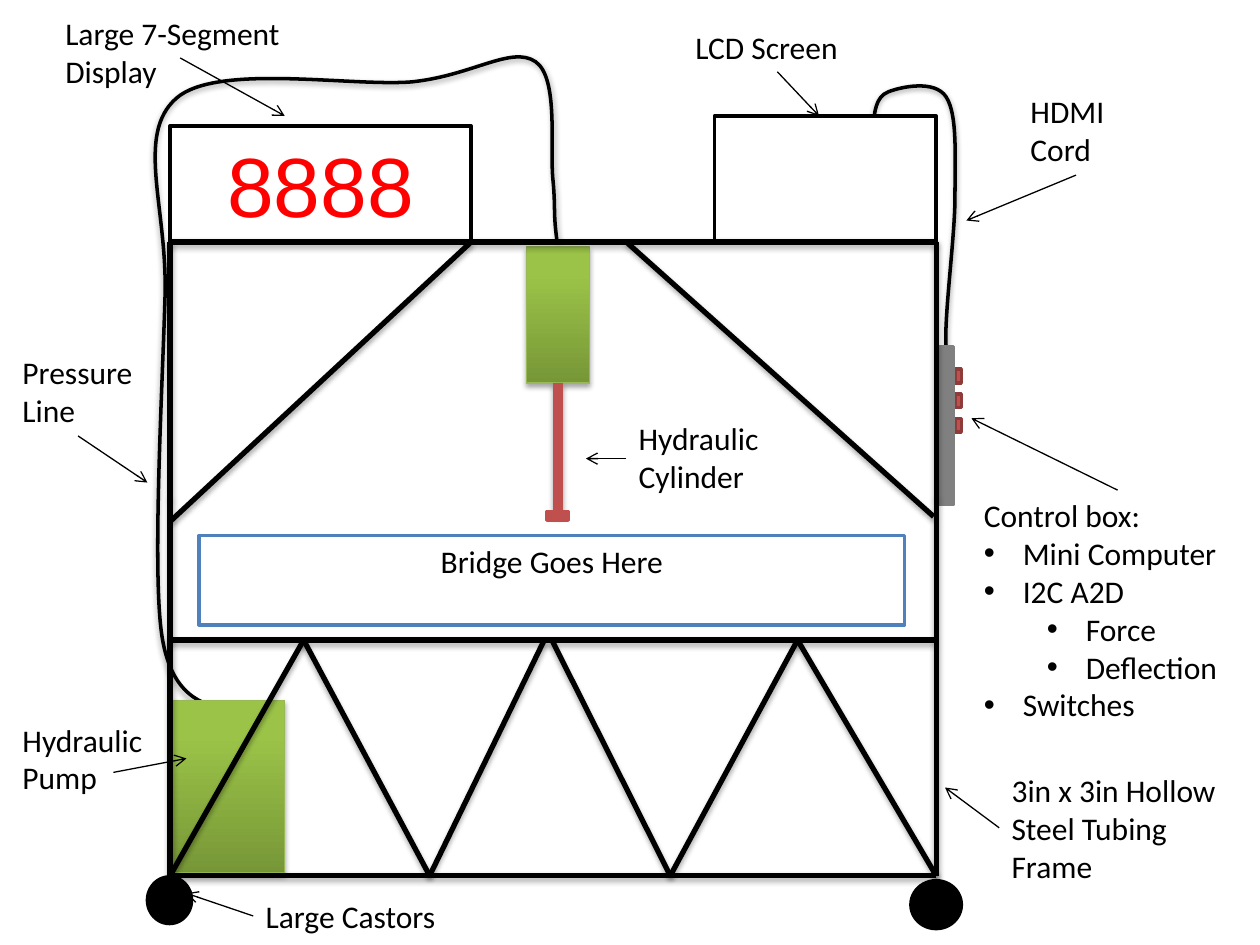
from lxml.etree import SubElement
from pptx import Presentation
from pptx.dml.color import RGBColor
from pptx.enum.shapes import MSO_CONNECTOR as Connector, MSO_SHAPE as Shape
from pptx.enum.text import MSO_ANCHOR as Anchor, PP_ALIGN as Align
from pptx.oxml.ns import qn
from pptx.util import Inches, Pt

# Grid: 10 columns by 7.5 rows, one inch each
COLUMNS, ROWS = 10, 7.5
LEFT, RIGHT = 1.35, 7.43
TOP, JOINT, MIDDLE, FLOOR = 1.92, 3.95, 5.08, 6.95
BLACK, WHITE, RED, GREY = "000000", "FFFFFF", "C0504D", "808080"
GREEN, GREEN_EDGE = ("779737", "9BC348"), "98B955"

# Cables: box, start point, then cubic curves as (control, control, end)
HDMI_CORD = ((6.93, 0.68, 0.66, 2.13), (6.93, 1.01), [
    ((6.94, 0.89), (6.95, 0.77), (7.05, 0.73)),
    ((7.15, 0.69), (7.42, 0.63), (7.51, 0.77)),
    ((7.6, 0.91), (7.58, 1.23), (7.58, 1.57)),
    ((7.58, 1.91), (7.47, 2.68), (7.52, 2.81))])
PRESSURE_LINE = ((1.23, 0.45, 3.19, 5.17), (4.42, 1.91), [
    ((4.39, 1.68), (4.41, 1.67), (4.39, 1.44)),
    ((4.36, 1.2), (4.44, 0.62), (4.25, 0.49)),
    ((4.06, 0.36), (3.75, 0.6), (3.27, 0.65)),
    ((2.79, 0.69), (1.72, 0.5), (1.4, 0.78)),
    ((1.07, 1.07), (1.33, 1.65), (1.31, 2.35)),
    ((1.29, 3.06), (1.21, 4.47), (1.28, 5.01)),
    ((1.35, 5.56), (1.65, 5.58), (1.73, 5.62))])

# Frame: posts, beams, upper braces, then the lower truss as two zigzags
POSTS = [((x, top), (x, bottom)) for top, bottom in ((JOINT, FLOOR), (TOP, JOINT))
         for x in (LEFT, RIGHT)]
BEAMS = [((1.33, MIDDLE), (7.42, MIDDLE)), ((RIGHT, FLOOR), (LEFT, FLOOR)),
         ((1.34, TOP), (RIGHT, TOP))]
BRACES = [((4.97, TOP), (7.41, 4.1)), ((3.74, TOP), (1.36, 4.13))]
ZIGZAGS = [(LEFT, 2.41, 3.41, 4.32), (RIGHT, 6.33, 5.32, 4.38)]

# Labels: box, lines as (level, text), arrow start and end
LABELS = [
    ((7.71, 3.89, 2.33, 1.92),
     [(0, "Control box:"), (1, "Mini Computer"), (1, "I2C A2D"),
      (2, "Force"), (2, "Deflection"), (1, "Switches")],
     (8.87, 3.89), (7.71, 3.32)),
    ((8.08, 0.68, 0.92, 0.71), [(0, "HDMI Cord")], (8.54, 1.39), (7.67, 1.75)),
    ((5.42, 0.17, 1.5, 0.4), [(0, "LCD Screen")], (6.17, 0.57), (6.5, 0.92)),
    ((0.42, 0.06, 2.13, 0.71), [(0, "Large 7-Segment Display")],
     (1.43, 0.46), (2.26, 0.92)),
    ((4.97, 3.28, 1.31, 0.71), [(0, "Hydraulic"), (0, "Cylinder")],
     (4.97, 3.64), (4.65, 3.64)),
    ((0.08, 2.75, 1.08, 0.71), [(0, "Pressure"), (0, "Line")],
     (0.62, 3.46), (1.17, 3.83)),
    ((0.08, 5.67, 1.18, 0.71), [(0, "Hydraulic Pump")], (0.9, 6.13), (1.48, 6.02)),
    ((7.93, 6.07, 1.92, 1.01), [(0, "3in x 3in Hollow"), (0, "Steel Tubing Frame")],
     (7.93, 6.57), (7.5, 6.25)),
    ((2.01, 7.07, 2.95, 0.4), [(0, "Large Castors")], (2.01, 7.27), (1.48, 7.09)),
]

deck = Presentation()
deck.slide_width, deck.slide_height = Inches(COLUMNS), Inches(ROWS)
page = deck.slides.add_slide(deck.slide_layouts[6])


def color(code):
    return RGBColor.from_string(code)


def set_line(item, code, width):
    item.line.color.rgb = color(code)
    item.line.width = Pt(width)


def set_shadow(item, visible):
    effects = SubElement(item._element.spPr, qn("a:effectLst"))
    if visible:
        outer = SubElement(effects, qn("a:outerShdw"), blurRad=str(Pt(3.1)),
                           dist=str(Pt(1.8)), dir="5400000", rotWithShape="0")
        black = SubElement(outer, qn("a:srgbClr"), val=BLACK)
        SubElement(black, qn("a:alpha"), val="35000")


def add_part(at, fill, edge, width=2, kind=Shape.RECTANGLE, shadow=False):
    part = page.shapes.add_shape(kind, *map(Inches, at))
    if isinstance(fill, tuple):
        part.fill.gradient()
        part.fill.gradient_angle = 90
        for stop, code, position in zip(part.fill.gradient_stops, fill, (0, 0.8)):
            stop.color.rgb, stop.position = color(code), position
    else:
        part.fill.solid()
        part.fill.fore_color.rgb = color(fill)
    set_line(part, edge, width)
    set_shadow(part, shadow)
    return part


def add_line(start, end, code=BLACK, width=3.0, shadow=True, arrow=False):
    line = page.shapes.add_connector(Connector.STRAIGHT, *map(Inches, start + end))
    set_line(line, code, width)
    if arrow:
        SubElement(line.line._get_or_add_ln(), qn("a:tailEnd"), type="arrow")
    set_shadow(line, shadow)


def add_cable(at, start, curves):
    left, top, width, height = at
    builder = page.shapes.build_freeform(*map(Inches, start), scale=1.0)
    builder.add_line_segments([tuple(map(Inches, curves[-1][-1]))], close=False)
    cable = builder.convert_to_shape()
    cable.left, cable.top, cable.width, cable.height = map(Inches, at)

    # Redraw the outline as true curves inside the box
    outline = next(cable._element.iter(qn("a:path")))
    outline.set("w", str(Inches(width)))
    outline.set("h", str(Inches(height)))
    for child in list(outline):
        outline.remove(child)
    for tag, points in [("a:moveTo", [start])] + [("a:cubicBezTo", c) for c in curves]:
        move = SubElement(outline, qn(tag))
        for x, y in points:
            SubElement(move, qn("a:pt"), x=str(Inches(x - left)), y=str(Inches(y - top)))
    cable.fill.background()
    set_line(cable, BLACK, 2)
    set_shadow(cable, True)


def write(para, text, size=18, font="Calibri", code=BLACK, align=Align.LEFT, level=0):
    para.alignment = align
    span = para.add_run()
    span.text = text
    span.font.size, span.font.name = Pt(size), font
    span.font.color.rgb = color(code)
    if level:
        para.level = level - 1
        props = para._p.get_or_add_pPr()
        props.set("marL", str(Inches(0.31 + 0.5 * (level - 1))))
        props.set("indent", str(Inches(-0.31)))
        SubElement(props, qn("a:buFont"), typeface="Arial")
        SubElement(props, qn("a:buChar"), char="•")


# Switches and cables
for row in range(3):
    add_part((7.58, 2.93 + 0.195 * row, 0.05, 0.11), RED, "8E3B39")
add_cable(*HDMI_CORD)
add_cable(*PRESSURE_LINE)

# LCD screen and seven-segment display
add_part((5.67, 0.92, 1.76, 1), WHITE, BLACK)
display = add_part((LEFT, 1, 2.39, 0.92), WHITE, BLACK)
write(display.text_frame.paragraphs[0], "8888", size=48, font="Arial",
      code="FF0000", align=Align.CENTER)

# Hydraulic cylinder, control box and pump
add_part((4.18, 1.96, 0.5, 1.08), GREEN, GREEN_EDGE, 0.75, shadow=True)
add_line((4.43, 3.04), (4.43, 4.09), RED, 6)
add_part((4.34, 4.06, 0.17, 0.07), RED, RED)
add_part((7.43, 2.75, 0.14, 1.25), GREY, GREY)
add_part((1.36, 5.56, 0.9, 1.37), GREEN, GREEN_EDGE, 0.75, shadow=True)

# Steel frame
for start, end in POSTS + BEAMS + BRACES:
    add_line(start, end)
for columns in ZIGZAGS:
    joints = list(zip(columns, (FLOOR, MIDDLE) * 2))
    for start, end in zip(joints, joints[1:]):
        add_line(start, end)

# Castors
for at in ((1.17, 6.96, 0.35, 0.37), (7.23, 6.99, 0.4, 0.38)):
    add_part(at, BLACK, BLACK, kind=Shape.OVAL)

# Bridge
bridge = add_part((1.58, 4.25, 5.6, 0.71), WHITE, "4F81BD")
bridge.text_frame.vertical_anchor = Anchor.TOP
write(bridge.text_frame.paragraphs[0], "Bridge Goes Here", align=Align.CENTER)

# Labels and their arrows
for at, lines, start, end in LABELS:
    frame = page.shapes.add_textbox(*map(Inches, at)).text_frame
    frame.word_wrap = True
    for index, (level, text) in enumerate(lines):
        para = frame.add_paragraph() if index else frame.paragraphs[0]
        write(para, text, level=level)
    add_line(start, end, width=0.75, shadow=False, arrow=True)

deck.save("out.pptx")
